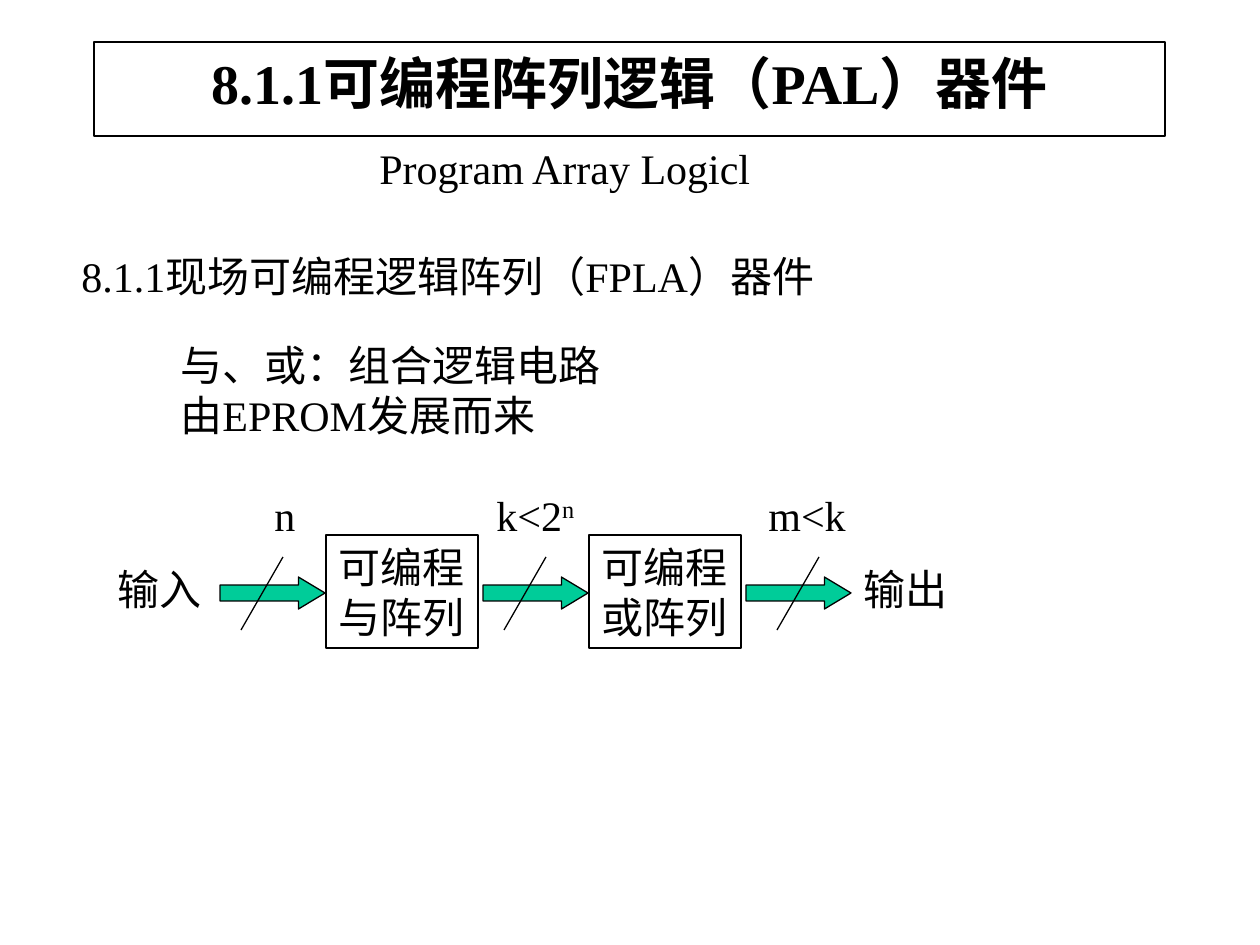
from lxml.etree import SubElement
from pptx import Presentation
from pptx.dml.color import RGBColor
from pptx.enum.shapes import MSO_CONNECTOR, MSO_SHAPE
from pptx.enum.text import MSO_ANCHOR, MSO_AUTO_SIZE, PP_ALIGN
from pptx.oxml.ns import qn
from pptx.util import Emu, Inches, Pt

BLACK = RGBColor(0x00, 0x00, 0x00)
WHITE = RGBColor(0xFF, 0xFF, 0xFF)
GREEN = RGBColor(0x00, 0xCC, 0x99)
FONT = "Times New Roman"

# Content: places are left, top, width, height in px
TITLE = "8.1.1可编程阵列逻辑（PAL）器件"
TITLE_PLACE = (94, 42, 1071, 94)
TEXTS = [
    (["8.1.1现场可编程逻辑阵列（FPLA）器件"], (69, 244, 790, 63)),
    (["与、或：组合逻辑电路", "由EPROM发展而来"], (168, 333, 447, 113)),
    (["Program Array Logicl"], (367, 136, 400, 63)),
    (["输入"], (105, 557, 112, 63)),
    (["输出"], (851, 557, 112, 63)),
]
ARRAYS = [["可编程", "与阵列"], ["可编程", "或阵列"]]
# Bus label, superscript, label left, label width, slash right end
BUSES = [
    ("n", "", 262, 48, 283),
    ("k<2", "n", 484, 106, 546),
    ("m<k", "", 756, 106, 819),
]

# Diagram grid
FIRST_ARROW, STAGE_PITCH = 220, 263
ARROW_TOP, ARROW_WIDTH, ARROW_HEIGHT = 577, 105, 32
ARRAY_TOP, ARRAY_WIDTH, ARRAY_HEIGHT = 535, 152, 113
LABEL_TOP, LABEL_HEIGHT = 483, 63
SLASH_TOP, SLASH_BOTTOM, SLASH_RUN = 557, 630, 42


def px(*lengths):
    return [Emu(round(length * 914400 / 126)) for length in lengths]


def outline(shape):
    shape.line.color.rgb = BLACK
    shape.line.width = Pt(0.75)


def style(para, size=24, bold=False, align=PP_ALIGN.LEFT):
    para.alignment = align
    para.font.size = Pt(size)
    para.font.bold = bold
    para.font.name = FONT
    para.font.color.rgb = BLACK


def write(shape, lines):
    frame = shape.text_frame
    frame.word_wrap = False
    frame.auto_size = MSO_AUTO_SIZE.SHAPE_TO_FIT_TEXT
    frame.vertical_anchor = MSO_ANCHOR.TOP
    frame.text = "\n".join(lines)
    for para in frame.paragraphs:
        style(para)
    return frame


def add_shape(page, kind, place, fill=None):
    shape = page.shapes.add_shape(kind, *px(*place))
    shape.shadow.inherit = False
    outline(shape)
    if fill is None:
        shape.fill.background()
    else:
        shape.fill.solid()
        shape.fill.fore_color.rgb = fill
    return shape


def add_title(page):
    title = page.shapes.title
    title.left, title.top, title.width, title.height = px(*TITLE_PLACE)
    title.fill.solid()
    title.fill.fore_color.rgb = WHITE
    outline(title)
    frame = title.text_frame
    frame.text = TITLE
    frame.auto_size = MSO_AUTO_SIZE.NONE
    frame.vertical_anchor = MSO_ANCHOR.TOP
    style(frame.paragraphs[0], size=32, bold=True, align=PP_ALIGN.CENTER)


def add_bus(page, index, bus):
    label, power, label_left, label_width, slash_right = bus
    left = FIRST_ARROW + index * STAGE_PITCH
    arrow = add_shape(page, MSO_SHAPE.RIGHT_ARROW,
                      (left, ARROW_TOP, ARROW_WIDTH, ARROW_HEIGHT), GREEN)
    arrow.adjustments[0] = 0.5
    arrow.adjustments[1] = 0.83

    slash = page.shapes.add_connector(
        MSO_CONNECTOR.STRAIGHT,
        *px(slash_right, SLASH_TOP, slash_right - SLASH_RUN, SLASH_BOTTOM))
    outline(slash)
    SubElement(slash._element.spPr, qn("a:effectLst"))

    box = page.shapes.add_textbox(
        *px(label_left, LABEL_TOP, label_width, LABEL_HEIGHT))
    frame = write(box, [label])
    if power:
        span = frame.paragraphs[0].add_run()
        span.text = power
        span.font._element.set("baseline", "30000")


def main():
    deck = Presentation()
    deck.slide_width, deck.slide_height = Inches(10), Inches(7.5)
    page = deck.slides.add_slide(deck.slide_layouts[5])

    # Title and plain text
    add_title(page)
    for lines, place in TEXTS:
        write(page.shapes.add_textbox(*px(*place)), lines)

    # Block diagram: each array stands at the tip of its arrow
    for index, lines in enumerate(ARRAYS):
        left = FIRST_ARROW + ARROW_WIDTH + 1 + index * STAGE_PITCH
        place = (left, ARRAY_TOP, ARRAY_WIDTH, ARRAY_HEIGHT)
        write(add_shape(page, MSO_SHAPE.RECTANGLE, place), lines)
    for index, bus in enumerate(BUSES):
        add_bus(page, index, bus)

    deck.save("out.pptx")


if __name__ == "__main__":
    main()
